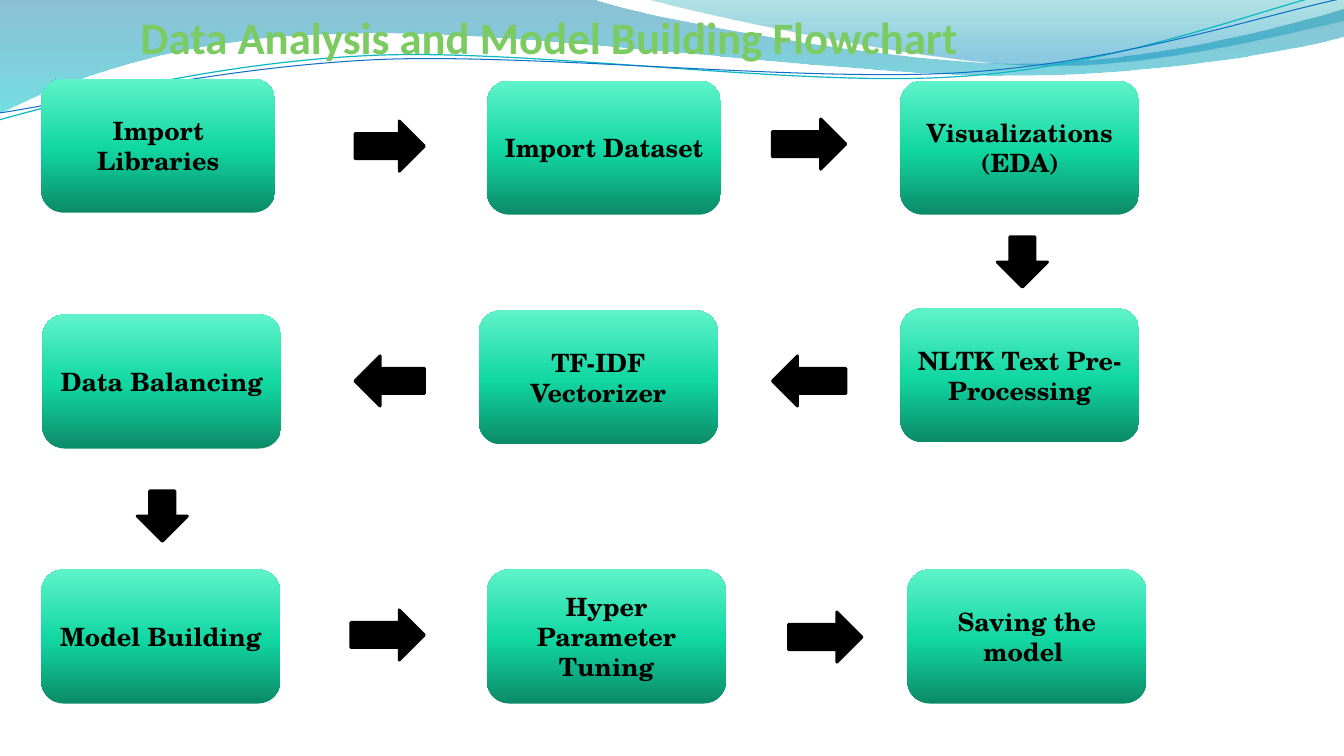
from dataclasses import dataclass
from math import cos, radians, sin

from lxml import etree
from pptx import Presentation
from pptx.dml.color import RGBColor
from pptx.enum.shapes import MSO_SHAPE
from pptx.enum.text import MSO_ANCHOR, MSO_AUTO_SIZE, PP_ALIGN
from pptx.oxml.ns import qn
from pptx.util import Inches, Pt

BOX = MSO_SHAPE.FLOWCHART_ALTERNATE_PROCESS
RIGHT, LEFT, DOWN = MSO_SHAPE.RIGHT_ARROW, MSO_SHAPE.LEFT_ARROW, MSO_SHAPE.DOWN_ARROW
CENTER, TOP, MIDDLE = PP_ALIGN.CENTER, MSO_ANCHOR.TOP, MSO_ANCHOR.MIDDLE
NO_FIT = MSO_AUTO_SIZE.NONE


@dataclass(frozen=True)
class Theme:
    head_font: str = "Calibri"
    box_font: str = "TeX Gyre Schola"
    head_size: int = 32
    box_size: int = 18
    ink: str = "000000"
    teal: str = "0AB8BF"
    blue: str = "0F6FC6"
    # Gradient stops: position, colour, opacity (all in percent)
    head: tuple = ((0, "387026", 100), (50, "7CCA62", 100), (100, "B0DFA1", 100))
    box: tuple = ((0, "0B8B68", 100), (48, "11D7A1", 100), (100, "5FF3CA", 100))
    wave: tuple = ((0, "0074A1", 45), (100, "00C6CF", 55))
    crest: tuple = ((0, "00A1A9", 30), (80, "008BBF", 45))


class Deck:
    def __init__(self, theme):
        self.theme = theme
        self.prs = Presentation()
        self.prs.slide_width, self.prs.slide_height = Inches(13.33), Inches(7.5)
        self.slide = self.prs.slides.add_slide(self.prs.slide_layouts[5])
        self.shapes = self.slide.shapes

    def blend(self, fill, owner, stops, angle):
        """Give the owner element a linear gradient, angle clockwise."""
        fill.gradient()
        grad = owner.find(qn("a:gradFill"))
        for child in list(grad):
            grad.remove(child)
        group = etree.SubElement(grad, qn("a:gsLst"))
        for pos, color, alpha in stops:
            stop = etree.SubElement(group, qn("a:gs"), pos=str(pos * 1000))
            tint = etree.SubElement(stop, qn("a:srgbClr"), val=color)
            if alpha < 100:
                etree.SubElement(tint, qn("a:alpha"), val=str(alpha * 1000))
        etree.SubElement(grad, qn("a:lin"), ang=str(angle * 60000), scaled="0")

    def place(self, shape, *area):
        shape.left, shape.top, shape.width, shape.height = map(Inches, area)

    def run(self, para, text, font, size):
        para.alignment = CENTER
        run = para.add_run()
        run.text = text
        run.font.name, run.font.size, run.font.bold = font, Pt(size), True
        return run

    def title(self, text, *area):
        shape = self.shapes.title
        self.place(shape, *area)
        frame = shape.text_frame
        frame.word_wrap, frame.auto_size = True, NO_FIT
        frame.vertical_anchor = TOP
        run = self.run(frame.paragraphs[0], text, self.theme.head_font, self.theme.head_size)
        self.blend(run.font.fill, run.font._element, self.theme.head, 90)
        # Bring the title in front of the waves
        self.shapes._spTree.append(shape._element)

    def curve(self, area, start, parts, closed, turn=0):
        """Trace lines (x, y) and Bezier parts (x1, y1, x2, y2, x, y)."""
        left, top, width, height = area
        midx, midy, angle = left + width / 2, top + height / 2, radians(-turn)

        def local(x, y):
            dx, dy = x - midx, y - midy
            return (Inches(dx * cos(angle) - dy * sin(angle) + width / 2),
                    Inches(dx * sin(angle) + dy * cos(angle) + height / 2))

        build = self.shapes.build_freeform(0, 0)
        build.add_line_segments([(Inches(x), Inches(y)) for *_, x, y in parts], close=closed)
        shape = build.convert_to_shape()
        shape.shadow.inherit = False
        self.place(shape, *area)
        shape.rotation = turn % 360
        # Set the outline in the frame of the area
        trace = shape._element.find(".//" + qn("a:pathLst"))[0]
        trace.set("w", str(Inches(width)))
        trace.set("h", str(Inches(height)))
        for node, part in zip(list(trace), [start, *parts]):
            if len(part) == 6:
                node.tag, bend = node.tag, etree.Element(qn("a:cubicBezTo"))
                trace.replace(node, bend)
                node = bend
            for child in list(node):
                node.remove(child)
            for x, y in zip(part[::2], part[1::2]):
                px, py = local(x, y)
                etree.SubElement(node, qn("a:pt"), x=str(px), y=str(py))
        return shape

    def wave(self, area, start, parts, stops):
        shape = self.curve(area, start, parts, True)
        shape.line.fill.background()
        self.blend(shape.fill, shape._element.spPr, stops, 90)

    def strand(self, area, start, parts, color, width):
        shape = self.curve(area, start, parts, False, -2.7)
        shape.fill.background()
        shape.line.color.rgb = RGBColor.from_string(color)
        shape.line.width = Pt(width)

    def shape(self, kind, *area):
        shape = self.shapes.add_shape(kind, *map(Inches, area))
        shape.shadow.inherit = False
        return shape

    def box(self, lines, left, top, width):
        shape = self.shape(BOX, left, top, width, 1.33)
        shape.line.fill.background()
        self.blend(shape.fill, shape._element.spPr, self.theme.box, 270)
        frame = shape.text_frame
        frame.word_wrap, frame.vertical_anchor = True, MIDDLE
        for i, text in enumerate(lines):
            para = frame.add_paragraph() if i else frame.paragraphs[0]
            run = self.run(para, text, self.theme.box_font, self.theme.box_size)
            run.font.color.rgb = RGBColor.from_string(self.theme.ink)

    def arrow(self, kind, left, top, width):
        shape = self.shape(kind, left, top, width, 0.5)
        ink = RGBColor.from_string(self.theme.ink)
        shape.fill.solid()
        shape.fill.fore_color.rgb = ink
        shape.line.color.rgb = ink
        shape.line.width = Pt(2)


def main():
    theme = Theme()
    deck = Deck(theme)

    # Waves along the top edge
    deck.wave((-0.01, -0.01, 13.36, 1.14), (0, 0), [
        (5.87, -0.01), (6.34, 0.17, 8.85, 0.63, 10.11, 0.63),
        (11.38, 0.63, 12.78, 0.26, 13.33, 0.09), (13.35, 0.36),
        (13.11, 0.44, 11.6, 0.76, 9.94, 0.75), (8.29, 0.75, 5.09, 0.28, 3.43, 0.34),
        (1.72, 0.36, 0.61, 0.83, -0.01, 1.13), (0, 0)], theme.wave)
    deck.wave((6.39, -0.01, 6.94, 0.7), (6.39, -0.01), [
        (6.79, 0.11, 9.09, 0.62, 10.25, 0.65), (11.41, 0.69, 12.82, 0.32, 13.33, 0.21),
        (13.33, 0), (6.39, -0.01)], theme.crest)
    deck.strand((-0.03, 0.22, 13.36, 0.71), (-0.01, 1.19), [
        (0.64, 1.01, 2.11, 0.62, 3.69, 0.55), (5.27, 0.48, 7.9, 0.87, 9.5, 0.76),
        (11.1, 0.66, 12.52, 0.08, 13.31, -0.1)], theme.teal, 0.85)
    deck.strand((-0.02, 0.3, 13.38, 0.58), (0, 1.12), [
        (0.63, 1.03, 2.18, 0.66, 3.78, 0.59), (5.37, 0.53, 7.96, 0.82, 9.55, 0.72),
        (11.15, 0.62, 12.55, 0.14, 13.34, -0.02)], theme.blue, 0.75)

    # Title
    deck.title("Data Analysis and Model Building Flowchart", 0, 0.05, 10.9, 0.94)

    # Steps, in the order of the flow
    for step in (
        (["Import Libraries"], 0.41, 0.78, 2.32),
        (["Import Dataset"], 4.83, 0.8, 2.32),
        (["Visualizations", "(EDA)"], 8.93, 0.8, 2.37),
        (["NLTK Text Pre-Processing"], 8.93, 3.06, 2.37),
        (["TF-IDF Vectorizer"], 4.75, 3.08, 2.37),
        (["Data Balancing"], 0.42, 3.12, 2.37),
        (["Model Building"], 0.41, 5.65, 2.37),
        (["Hyper Parameter Tuning"], 4.83, 5.65, 2.37),
        (["Saving the model "], 9, 5.65, 2.37),
    ):
        deck.box(*step)

    # Arrows between the steps
    for link in (
        (RIGHT, 3.52, 1.2, 0.69), (RIGHT, 7.66, 1.18, 0.73), (DOWN, 9.89, 2.35, 0.5),
        (LEFT, 7.66, 3.53, 0.73), (LEFT, 3.52, 3.53, 0.69), (DOWN, 1.36, 4.87, 0.5),
        (RIGHT, 3.48, 6.05, 0.73), (RIGHT, 7.82, 6.07, 0.73),
    ):
        deck.arrow(*link)

    deck.prs.save("out.pptx")


if __name__ == "__main__":
    main()
